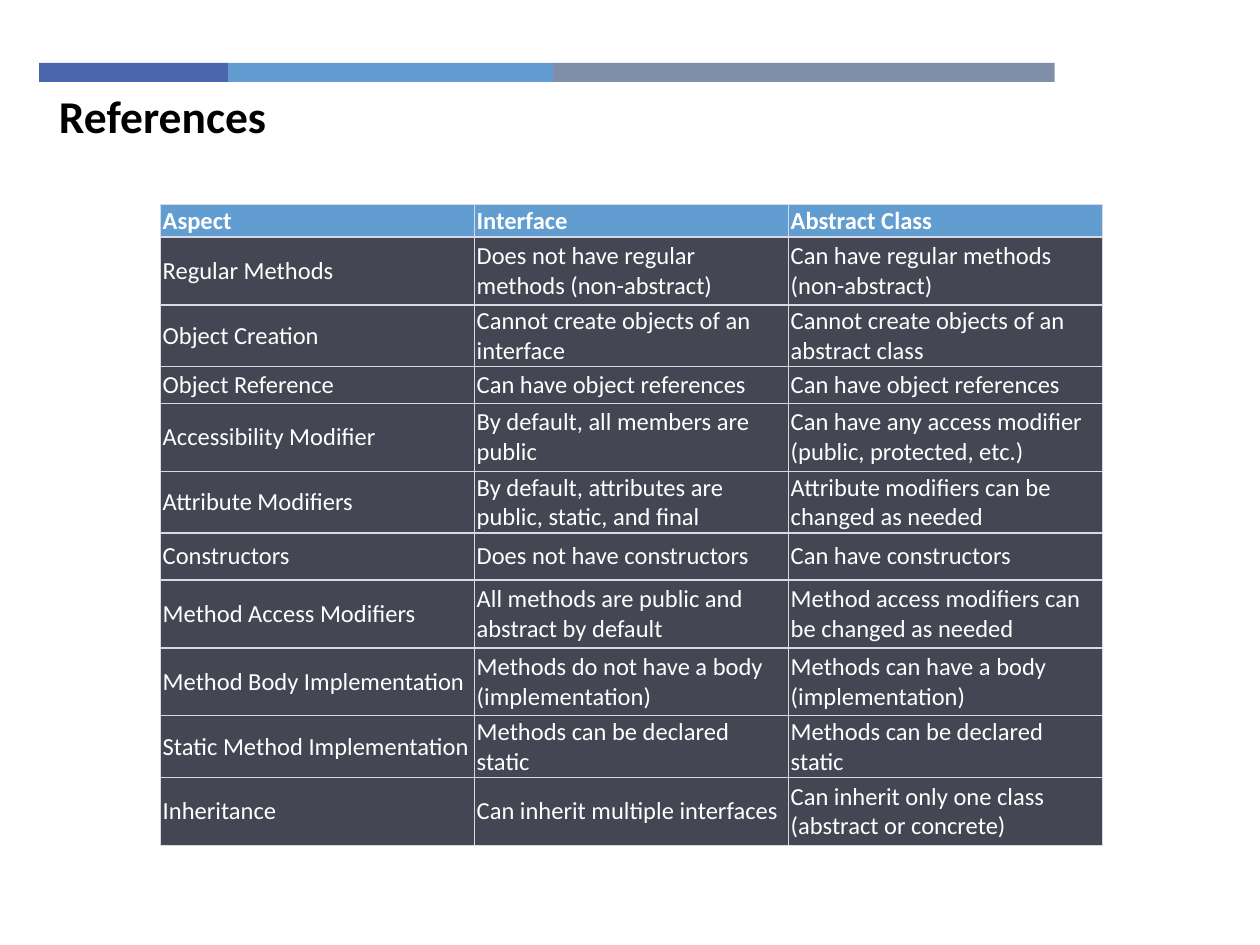
from lxml.etree import SubElement as Sub
from pptx import Presentation
from pptx.dml.color import RGBColor
from pptx.enum.shapes import MSO_SHAPE as Shape
from pptx.enum.text import MSO_ANCHOR as Anchor
from pptx.oxml.ns import qn
from pptx.util import Cm, Pt

# Content
TITLE = "References"
BARS = [("4A66AC", 3.81), ("629DD1", 6.55), ("7F8FA9", 10.11)]  # colour, width
HEAD, BODY, EDGE = "629DD1", "444654", "D9D9E3"
WIDTH = 6.33
ROWS = [  # height, cells
    (0.51, "Aspect", "Interface", "Abstract Class"),
    (1.37, "Regular Methods", "Does not have regular methods (non-abstract)",
     "Can have regular methods (non-abstract)"),
    (1.17, "Object Creation", "Cannot create objects of an interface",
     "Cannot create objects of an abstract class"),
    (0.74, "Object Reference", "Can have object references",
     "Can have object references"),
    (1.37, "Accessibility Modifier", "By default, all members are public",
     "Can have any access modifier (public, protected, etc.)"),
    (1.17, "Attribute Modifiers",
     "By default, attributes are public, static, and final",
     "Attribute modifiers can be changed as needed"),
    (0.94, "Constructors", "Does not have constructors",
     "Can have constructors"),
    (1.37, "Method Access Modifiers",
     "All methods are public and abstract by default",
     "Method access modifiers can be changed as needed"),
    (1.37, "Method Body Implementation",
     "Methods do not have a body (implementation)",
     "Methods can have a body (implementation)"),
    (0.94, "Static Method Implementation", "Methods can be declared static",
     "Methods can be declared static"),
    (1.37, "Inheritance", "Can inherit multiple interfaces",
     "Can inherit only one class (abstract or concrete)"),
]


def paint(fill, color):
    fill.solid()
    fill.fore_color.rgb = RGBColor.from_string(color)


def style(frame, size, color, bold):
    for run in frame.paragraphs[0].runs:
        run.font.name = "Calibri"
        run.font.size = Pt(size)
        run.font.bold = bold
        paint(run.font.fill, color)


def edge(cell, side, width):
    props = cell._tc.get_or_add_tcPr()
    line = Sub(props, qn("a:ln" + side), w=str(Pt(width)))
    fill = Sub(line, qn("a:solidFill"))
    Sub(fill, qn("a:srgbClr"), val=EDGE)


deck = Presentation()
deck.slide_width, deck.slide_height = Cm(25.4), Cm(19.05)
slide = deck.slides.add_slide(deck.slide_layouts[6])

# Bars across the top
left = 0.79
for color, width in BARS:
    bar = slide.shapes.add_shape(
        Shape.RECTANGLE, Cm(left), Cm(1.27), Cm(width), Cm(0.38))
    bar.shadow.inherit = False
    paint(bar.fill, color)
    bar.line.fill.background()
    left += width

# Title
box = slide.shapes.add_textbox(Cm(0.94), Cm(1.65), Cm(8.99), Cm(1.37))
frame = box.text_frame
frame.word_wrap = True
frame.text = TITLE
frame.paragraphs[0].space_before = Pt(20)
style(frame, 26, "000000", True)

# Comparison table
count = len(ROWS[0]) - 1
high = sum(row[0] for row in ROWS)
table = slide.shapes.add_table(
    len(ROWS), count, Cm(3.23), Cm(4.12), Cm(WIDTH * count), Cm(high)).table
for col in table.columns:
    col.width = Cm(WIDTH)
last = len(ROWS) - 1
for r, (height, *texts) in enumerate(ROWS):
    table.rows[r].height = Cm(height)
    top = r == 0
    for c, text in enumerate(texts):
        cell = table.cell(r, c)
        cell.text_frame.text = text
        style(cell.text_frame, 14, "FFFFFF", top)
        cell.vertical_anchor = Anchor.BOTTOM if top else Anchor.MIDDLE
        cell.margin_left = cell.margin_right = Cm(0.05)
        cell.margin_top = cell.margin_bottom = Cm(0.03)
        # Thin outer and upright edges, thicker lines between rows
        for side in "LRTB":
            thin = side in "LR" or (side, r) in (("T", 0), ("B", last))
            edge(cell, side, 0.6 if thin else 1)
        paint(cell.fill, HEAD if top else BODY)

deck.save("out.pptx")
